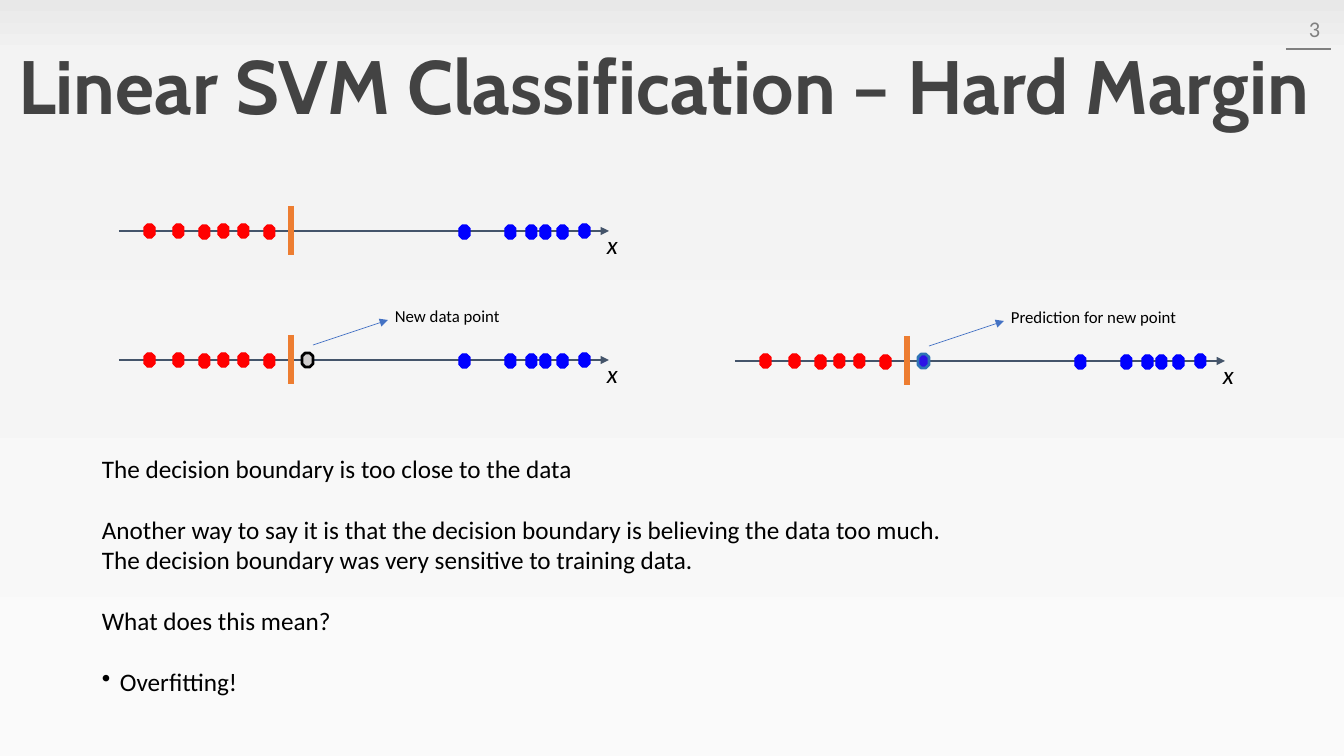
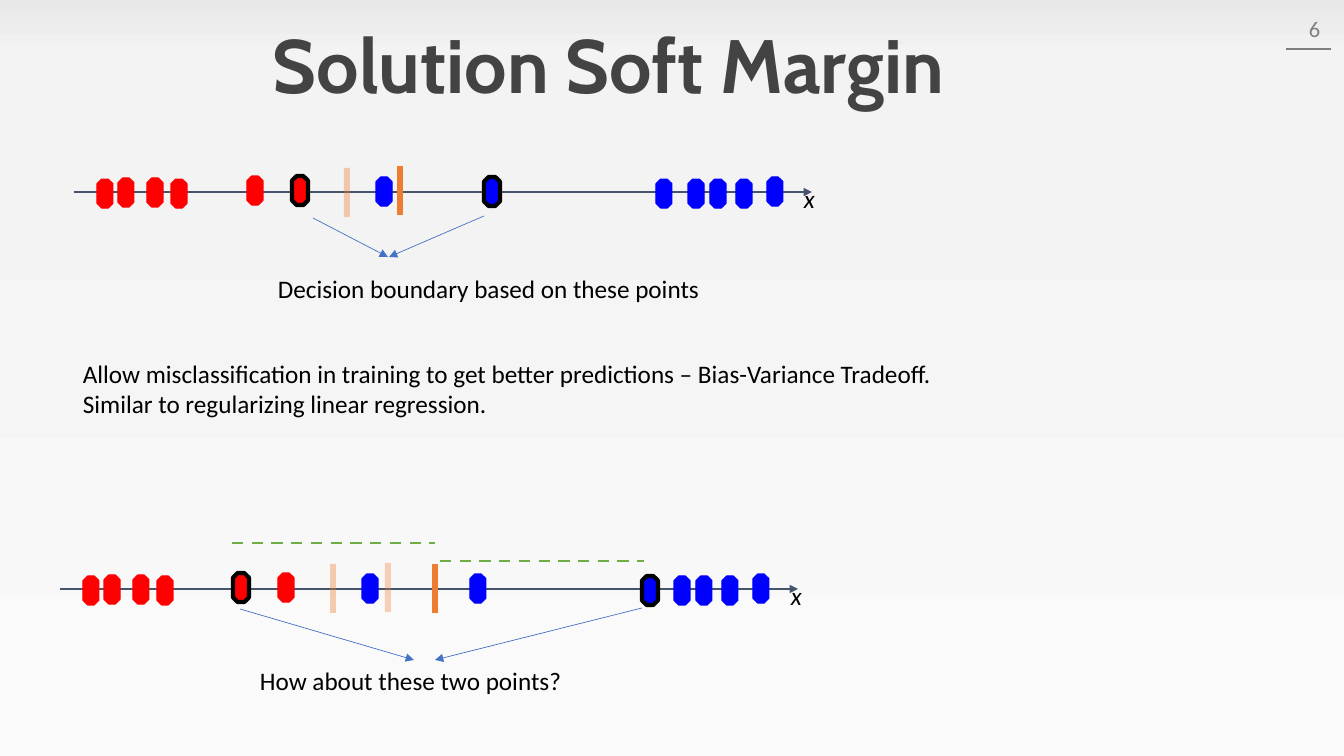
from lxml import etree
from pptx import Presentation
from pptx.dml.color import RGBColor
from pptx.enum.dml import MSO_LINE
from pptx.enum.shapes import MSO_CONNECTOR, MSO_SHAPE
from pptx.enum.text import MSO_ANCHOR, PP_ALIGN
from pptx.oxml.ns import qn
from pptx.util import Pt

OCTAGON = MSO_SHAPE.OCTAGON
STRAIGHT = MSO_CONNECTOR.STRAIGHT
DASH = MSO_LINE.DASH
TOP, MIDDLE = MSO_ANCHOR.TOP, MSO_ANCHOR.MIDDLE
LEFT, CENTER, RIGHT = PP_ALIGN.LEFT, PP_ALIGN.CENTER, PP_ALIGN.RIGHT

W, H = 1344, 756
SCALE = 12192000 / W  # EMU per px
HEAD, BODY = "Cabin", "Calibri"
C = {
    "title": "434343", "grey": "808080", "text": "000000", "axis": "44546A",
    "red": "FF0000", "blue": "0000FF", "ring": "000000", "boundary": "ED7D31",
    "arrow": "4472C4", "margin": "70AD47", "new": "D0CECE",
    "predicted": "2D14E6", "predicted_ring": "2E75B6",
}
BACKGROUND = [(0, "FAFAFA"), (84, "F3F3F3"), (94, "F0F0F0"), (100, "E8E8E8")]


def px(*values):
    return [round(v * SCALE) for v in values]


def rgb(name):
    return RGBColor.from_string(C[name])


prs = Presentation()
prs.slide_width, prs.slide_height = px(W, H)


def add_text(s, box, lines, size=18, color="text", font=BODY, bold=False,
             italic=False, align=LEFT, anchor=TOP):
    tf = s.shapes.add_textbox(*px(*box)).text_frame
    tf.word_wrap = True
    tf.vertical_anchor = anchor
    tf.text = "\n".join(lines)
    for p in tf.paragraphs:
        p.alignment = align
        for r in p.runs:
            r.font.size = Pt(size)
            r.font.name = font
            r.font.bold = bold
            r.font.italic = italic
            r.font.color.rgb = rgb(color)
    return tf


def add_line(s, ends, color, width, arrow=False, dash=None, alpha=None):
    line = s.shapes.add_connector(STRAIGHT, *px(*ends))
    line.line.color.rgb = rgb(color)
    line.line.width = Pt(width)
    if dash:
        line.line.dash_style = dash
    spPr = line._element.spPr
    ln = spPr.find(qn("a:ln"))
    if alpha:
        clr = ln.find(".//" + qn("a:srgbClr"))
        etree.SubElement(clr, qn("a:alpha"), val=str(alpha * 1000))
    if arrow:
        etree.SubElement(ln, qn("a:tailEnd"), type="triangle")
    etree.SubElement(spPr, qn("a:effectLst"))


# Shared background, on the master
master = prs.slide_master
fill = master.background.fill
fill.gradient()
fill.gradient_angle = 90
stops = master._element.find(".//" + qn("a:gsLst"))
for stop in list(stops):
    stops.remove(stop)
for pos, color in BACKGROUND:
    stop = etree.SubElement(stops, qn("a:gs"), pos=str(pos * 1000))
    etree.SubElement(stop, qn("a:srgbClr"), val=color)

# Slides with title, page number and rule
slides = []
for title, left, top, number in [
    ("Linear SVM Classification – Hard Margin ", 0, 29, "3"),
    ("Solution Soft Margin ", -55, 8, "6"),
]:
    s = prs.slides.add_slide(prs.slide_layouts[6])
    add_line(s, (1286, 49, 1331, 49), "grey", 1)
    tf = add_text(s, (left, top, W, 121), [title], 54, "title", HEAD,
                  bold=True, align=CENTER, anchor=MIDDLE)
    tf.paragraphs[0].line_spacing = 0.9
    add_text(s, (1274, 9, 56, 40), [number], 16, "grey", align=RIGHT, anchor=MIDDLE)
    slides.append(s)
hard, soft = slides

# Data points, as (dx, dy) of the top left corner from the axis start
HARD_DOTS = {
    "red": [(25, -7), (54, -7), (80, -6), (99, -7), (119, -7), (145, -6)],
    "blue": [(340, -6), (386, -6), (407, -6), (421, -6), (438, -6), (460, -7)],
}
SOFT_DOTS = {
    "red": [(23, -13), (44, -14), (73, -14), (97, -13), (173, -16), (218, -16)],
    "blue": [(302, -15), (410, -15), (582, -13), (614, -13), (636, -13),
             (662, -13), (693, -15)],
}

# Number lines: slide, start, length, dot size, label dx and dy, dots, ringed dx
for s, x, y, length, size, label_dx, label_dy, dots, ringed in [
    (hard, 119, 231, 490, (11, 14), 478, -7, HARD_DOTS, ()),
    (hard, 119, 360, 490, (11, 14), 478, -7, HARD_DOTS, ()),
    (hard, 735, 361, 490, (11, 14), 478, -7, HARD_DOTS, ()),
    (soft, 74, 192, 738, size_soft := (16, 29), 720, -14, SOFT_DOTS, (218, 410)),
    (soft, 60, 589, 738, size_soft, 721, -14, SOFT_DOTS, (173, 582)),
]:
    add_line(s, (x, y, x + length, y), "axis", 2, arrow=True)
    points = [(dx, dy, color, "ring" if dx in ringed else color,
               3 if dx in ringed else 0.75)
              for color, places in dots.items() for dx, dy in places]
    if s is hard and y > 300:
        # The new point, unknown on the left and predicted on the right
        if x < 700:
            label, look = "New data point", ("new", "ring")
        else:
            label, look = "Prediction for new point", ("predicted", "predicted_ring")
        points.append((183, -7, *look, 2))
        add_line(s, (x + 194, y - 15, x + 269, y - 40), "arrow", 0.5, arrow=True)
        add_text(s, (x + 266, y - 59, 224, 30), [label], 12)
    for dx, dy, color, edge, width in points:
        sp = s.shapes.add_shape(OCTAGON, *px(x + dx, y + dy, *size))
        sp.shadow.inherit = False
        sp.fill.solid()
        sp.fill.fore_color.rgb = rgb(color)
        sp.line.color.rgb = rgb(edge)
        sp.line.width = Pt(width)
    add_text(s, (x + label_dx, y + label_dy, 56, 56), ["x"], italic=True)

# Decision boundaries, the faint ones being earlier choices
for s, x, y, alpha in [
    (hard, 291, 206, None), (hard, 291, 335, None), (hard, 907, 336, None),
    (soft, 347, 168, 36), (soft, 400, 166, None),
    (soft, 333, 564, 36), (soft, 388, 563, 32), (soft, 435, 564, None),
]:
    add_line(s, (x, y, x, y + 49), "boundary", 4.25, alpha=alpha)

# Hard margin: conclusions
tf = add_text(hard, (92, 448, 863, 254), [
    "The decision boundary is too close to the data",
    "Another way to say it is that the decision boundary is believing the data "
    "too much. The decision boundary was very sensitive to training data.",
    "What does this mean?",
    "Overfitting!",
])
for p in tf.paragraphs[1:]:
    p.space_before = Pt(22)
pPr = tf.paragraphs[-1]._p.get_or_add_pPr()
indent = px(18)[0]
pPr.set("marL", str(indent))
pPr.set("indent", str(-indent))
etree.SubElement(pPr, qn("a:buChar"), char="•")

# Soft margin: support points, margins and remarks
for ends in [(313, 218, 388, 257), (484, 216, 389, 257),
             (240, 609, 414, 660), (642, 608, 435, 660)]:
    add_line(soft, ends, "arrow", 0.5, arrow=True)
for ends in [(232, 543, 435, 543), (440, 561, 644, 561)]:
    add_line(soft, ends, "margin", 2, dash=DASH)
add_text(soft, (268, 268, 556, 40), ["Decision boundary based on these points"])
add_text(soft, (73, 353, 1200, 72), [
    "Allow misclassification in training to get better predictions – "
    "Bias-Variance Tradeoff.",
    "Similar to regularizing linear regression.",
])
add_text(soft, (250, 660, 556, 40), ["How about these two points?"])

prs.save("out.pptx")
